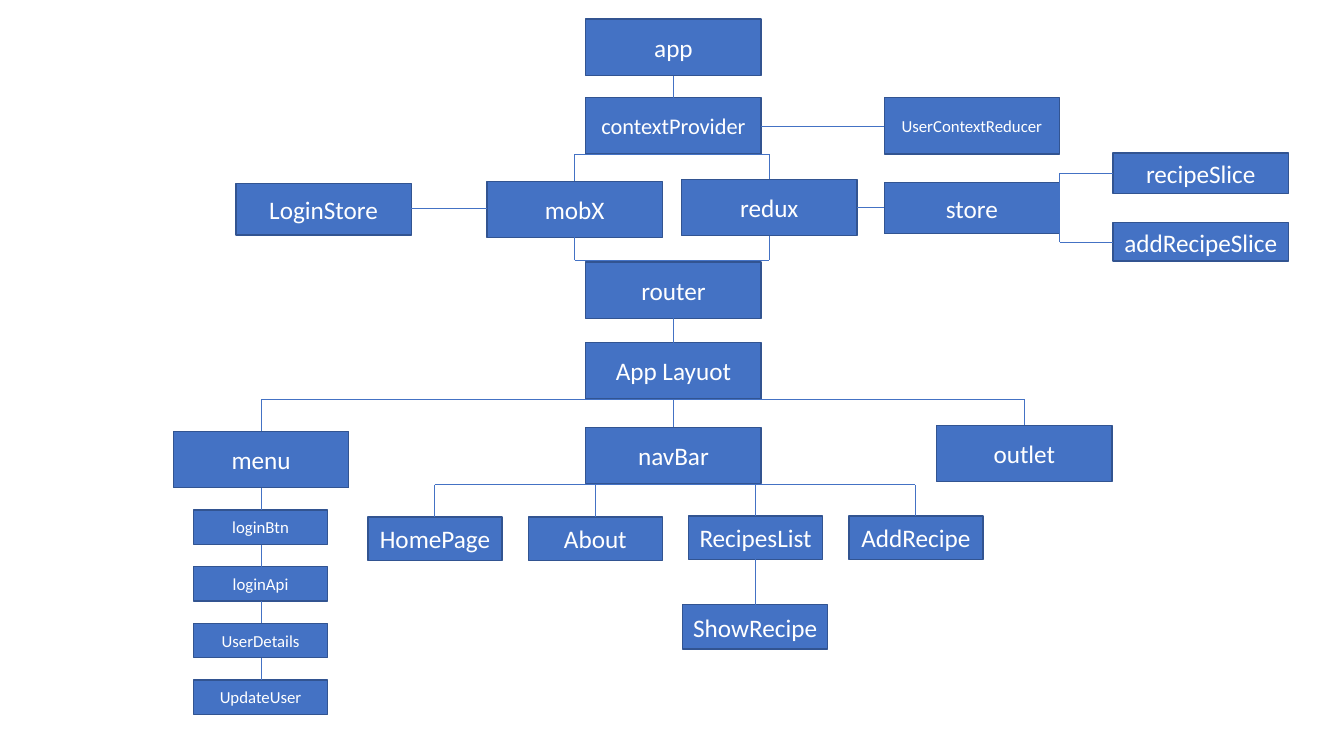
import pptx
import pptx.util
import pptx.dml.color
import pptx.enum.shapes
import pptx.enum.text
import pptx.oxml
import pptx.oxml.ns

Inches = pptx.util.Inches
WIDE, NARROW = 1.74, 1.33
HIGH, MEDIUM, SMALL = 0.56, 0.43, 0.34
CENTER_X, MENU_X, OUTLET_X = 6.68, 2.59, 10.16
MOBX_X, REDUX_X, SLICE_X = 5.7, 7.63, 10.51
PROVIDER_Y, ROUTER_Y, LAYOUT_Y, NAV_Y = 1.53, 2.58, 3.96, 4.81

MAIN_BOXES = [
    ("app", 5.81, 0.19, WIDE, HIGH, 18),
    ("contextProvider", 5.81, 0.97, WIDE, HIGH, 16),
    ("UserContextReducer", 8.77, 0.97, WIDE, HIGH, 12),
    ("redux", 6.76, 1.78, WIDE, HIGH, 18),
    ("mobX", 4.83, 1.8, WIDE, HIGH, 18),
    ("LoginStore", 2.34, 1.82, WIDE, 0.51, 18),
    ("store", 8.77, 1.81, WIDE, 0.51, 18),
    ("recipeSlice", 11.04, 1.52, WIDE, 0.4, 18),
    ("addRecipeSlice", 11.04, 2.21, WIDE, 0.38, 18),
    ("router", 5.81, 2.6, WIDE, HIGH, 18),
    ("App Layuot", 5.81, 3.4, WIDE, HIGH, 18),
    ("menu", 1.72, 4.28, WIDE, HIGH, 18),
    ("navBar", 5.81, 4.24, WIDE, HIGH, 18),
    ("outlet", 9.29, 4.22, WIDE, HIGH, 18),
    ("ShowRecipe", 6.77, 6, 1.44, 0.44, 18),
]
MENU_ITEMS = ["loginBtn", "loginApi", "UserDetails", "UpdateUser"]
PAGES = [("HomePage", 5.13), ("About", 5.13), ("RecipesList", 5.12), ("AddRecipe", 5.12)]

VERTICALS = [
    (CENTER_X, 0.75, 0.97),
    (MOBX_X, PROVIDER_Y, 1.8),
    (REDUX_X, PROVIDER_Y, 1.78),
    (MOBX_X, 2.35, ROUTER_Y),
    (REDUX_X, 2.34, ROUTER_Y),
    (SLICE_X, 1.72, 2.4),
    (CENTER_X, 3.15, 3.4),
    (MENU_X, LAYOUT_Y, 4.28),
    (CENTER_X, LAYOUT_Y, 4.24),
    (OUTLET_X, LAYOUT_Y, 4.22),
    (7.49, 5.55, 6),
]
HORIZONTALS = [
    (PROVIDER_Y, MOBX_X, REDUX_X),
    (ROUTER_Y, MOBX_X, REDUX_X),
    (LAYOUT_Y, MENU_X, OUTLET_X),
    (NAV_Y, 4.31, 9.08),
    (1.25, 7.55, 8.77),
    (2.07, 4.08, 4.83),
    (2.06, 8.5, 8.77),
    (1.72, SLICE_X, 11.04),
    (2.4, SLICE_X, 11.04),
]


def color(value):
    return pptx.dml.color.RGBColor.from_string(value)


def add_box(s, text, left, top, width, height, size):
    sp = s.shapes.add_shape(pptx.enum.shapes.MSO_SHAPE.RECTANGLE,
                            Inches(left), Inches(top), Inches(width), Inches(height))
    sp.shadow.inherit = False
    sp.fill.solid()
    sp.fill.fore_color.rgb = color("4472C4")
    sp.line.color.rgb = color("325491")
    sp.line.width = pptx.util.Pt(1)
    tf = sp.text_frame
    tf.text = text
    tf.word_wrap = True
    tf.vertical_anchor = pptx.enum.text.MSO_ANCHOR.MIDDLE
    p = tf.paragraphs[0]
    p.alignment = pptx.enum.text.PP_ALIGN.CENTER
    r = p.runs[0]
    r.font.name = "Calibri"
    r.font.size = pptx.util.Pt(size)
    r.font.color.rgb = color("FFFFFF")


def add_line(s, x1, y1, x2, y2):
    line = s.shapes.add_connector(pptx.enum.shapes.MSO_CONNECTOR.STRAIGHT,
                                  Inches(x1), Inches(y1), Inches(x2), Inches(y2))
    line.line.color.rgb = color("4472C4")
    line.line.width = pptx.util.Pt(0.5)
    effects = pptx.oxml.parse_xml(
        "<a:effectLst %s/>" % pptx.oxml.ns.nsdecls("a"))
    line._element.spPr.append(effects)


def add_menu_items(s):
    step = 2.25 / 4
    for i, text in enumerate(MENU_ITEMS):
        top = 5.06 + i * step
        add_box(s, text, 1.92, top, NARROW, SMALL, 12)
        add_line(s, MENU_X, top - 0.22, MENU_X, top)


def add_pages(s):
    for i, (text, top) in enumerate(PAGES):
        left = 3.65 + i * 1.59
        add_box(s, text, left, top, NARROW, MEDIUM, 18)
        add_line(s, left + 0.66, NAV_Y, left + 0.66, top)


def main():
    prs = pptx.Presentation()
    prs.slide_width = Inches(13.33)
    prs.slide_height = Inches(7.5)
    s = prs.slides.add_slide(prs.slide_layouts[6])
    for box in MAIN_BOXES:
        add_box(s, *box)
    add_menu_items(s)
    add_pages(s)
    for x, top, bottom in VERTICALS:
        add_line(s, x, top, x, bottom)
    for y, left, right in HORIZONTALS:
        add_line(s, left, y, right, y)
    prs.save("out.pptx")


if __name__ == "__main__":
    main()
